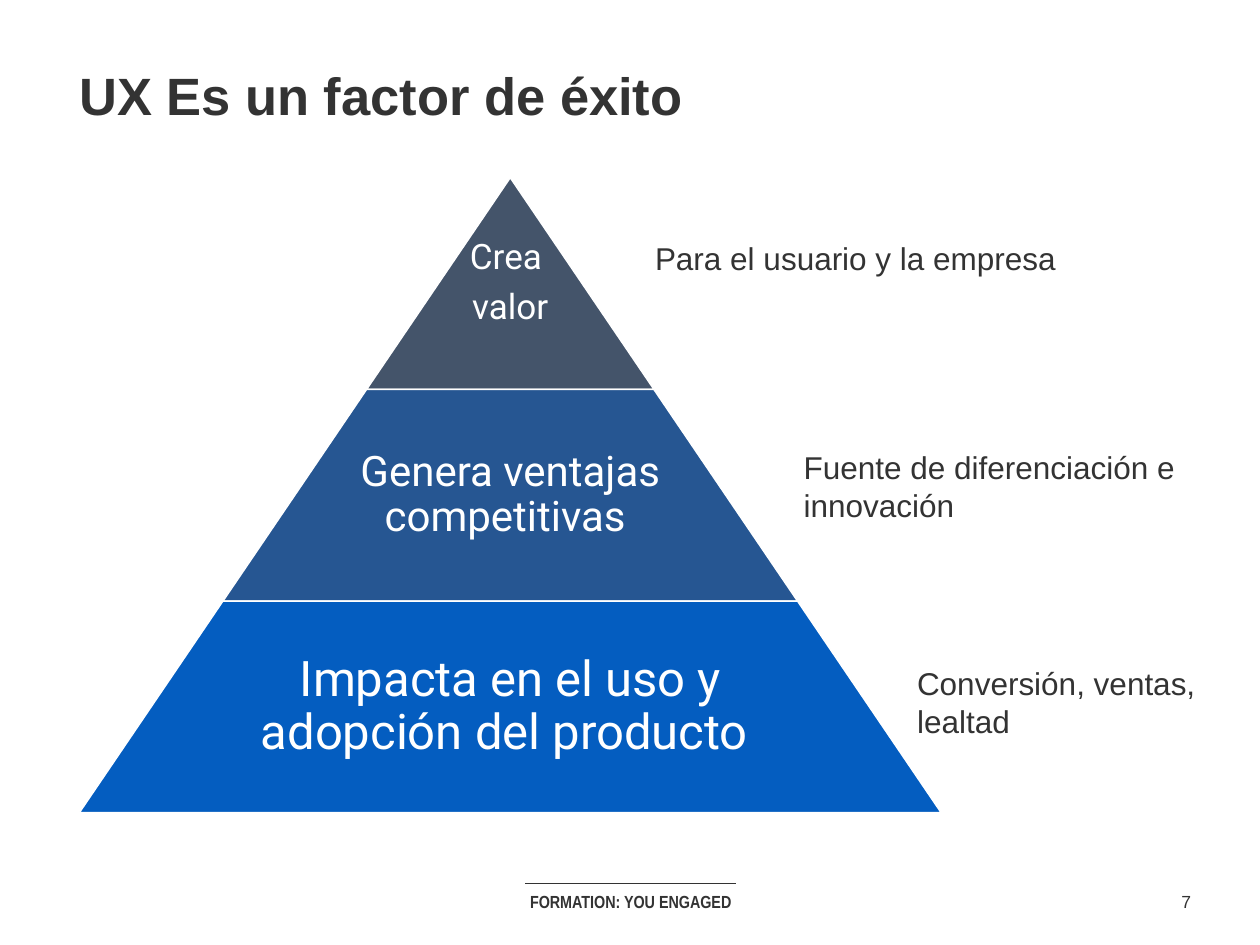
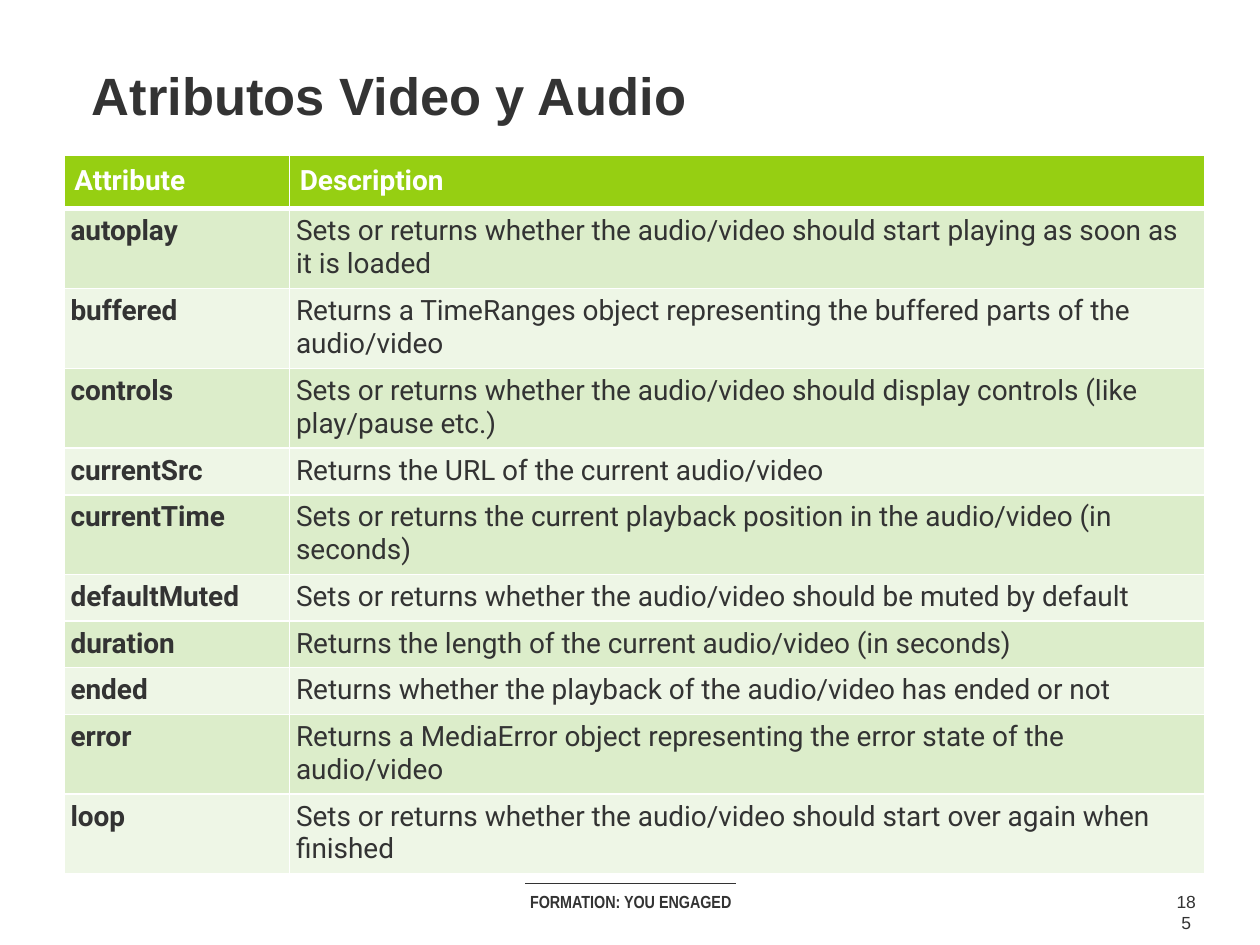
import pptx
import pptx.util
import pptx.dml.color
import pptx.enum.shapes
import pptx.enum.text
import pptx.oxml
import pptx.oxml.ns

Inches = pptx.util.Inches
Pt = pptx.util.Pt
RGBColor = pptx.dml.color.RGBColor
Align = pptx.enum.text.PP_ALIGN
Anchor = pptx.enum.text.MSO_ANCHOR

INK = RGBColor(0x33, 0x33, 0x33)
WHITE = RGBColor(0xFF, 0xFF, 0xFF)
SLATE = RGBColor(0x44, 0x54, 0x6A)
NAVY = RGBColor(0x26, 0x56, 0x92)
BLUE = RGBColor(0x04, 0x5D, 0xC0)
LIME = RGBColor(0x96, 0xCF, 0x12)
BANDS = (RGBColor(0xDC, 0xED, 0xCA), RGBColor(0xEE, 0xF6, 0xE6))

TITLE_ONLY = 5
FOOTER = "FORMATION: YOU ENGAGED"

# label paragraphs, text size, text width share, fill, inset,
# note paragraphs, note box
TIERS = [
    (["Crea ", "valor"], 20, 1, SLATE, 0.03,
     ["Para el usuario y la empresa"], (5.1, 1.85, 3.41, 0.4)),
    (["Genera ventajas competitivas "], 24, 0.65, NAVY, 0.03,
     ["Fuente de diferenciación e innovación"], (6.28, 3.51, 3.31, 0.71)),
    (["Impacta en el uso y adopción del producto "], 28, 0.65, BLUE, 0.04,
     ["Conversión, ventas,", "lealtad"], (7.18, 5.22, 2.46, 0.71)),
]
APEX_X, APEX_Y = 4.05, 1.41
TIER_HEIGHT, TIER_WIDTH = 1.68, 2.28

ONE_LINE, TWO_LINES = 0.37, 0.63
ATTRIBUTES = [
    ("autoplay", "Sets or returns whether the audio/video should start playing "
     "as soon as it is loaded", TWO_LINES),
    ("buffered", "Returns a TimeRanges object representing the buffered parts "
     "of the audio/video", TWO_LINES),
    ("controls", "Sets or returns whether the audio/video should display "
     "controls (like play/pause etc.)", TWO_LINES),
    ("currentSrc", "Returns the URL of the current audio/video", ONE_LINE),
    ("currentTime", "Sets or returns the current playback position in the "
     "audio/video (in seconds)", TWO_LINES),
    ("defaultMuted", "Sets or returns whether the audio/video should be muted "
     "by default", ONE_LINE),
    ("duration", "Returns the length of the current audio/video (in seconds)",
     ONE_LINE),
    ("ended", "Returns whether the playback of the audio/video has ended or not",
     ONE_LINE),
    ("error", "Returns a MediaError object representing the error state of the "
     "audio/video", TWO_LINES),
    ("loop", "Sets or returns whether the audio/video should start over again "
     "when finished", TWO_LINES),
]


def inches(box):
    return [Inches(length) for length in box]


def set_margins(holder, sides, ends):
    holder.margin_left = holder.margin_right = Inches(sides)
    holder.margin_top = holder.margin_bottom = Inches(ends)


class Deck:
    """The presentation, its style and the slide being filled."""

    def __init__(self):
        self.presentation = pptx.Presentation()
        self.presentation.slide_width = Inches(10)
        self.presentation.slide_height = Inches(7.5)
        self.slide = None

    def start_slide(self, title, number, title_box, title_inset):
        layout = self.presentation.slide_layouts[TITLE_ONLY]
        self.slide = self.presentation.slides.add_slide(layout)
        self.footer(number)
        heading = self.slide.shapes.title
        heading.left, heading.top, heading.width, heading.height = inches(title_box)
        frame = heading.text_frame
        frame.auto_size = pptx.enum.text.MSO_AUTO_SIZE.NONE
        frame.vertical_anchor = Anchor.TOP
        set_margins(frame, title_inset, 0.05)
        self.fill_text(frame, [title], 30, bold=True)

    def footer(self, number):
        self.text((3.67, 7.02, 2.67, 0.27), [FOOTER], 10, font="Arial Narrow",
                  bold=True, align=Align.CENTER)
        self.rule((4.17, 7.01), (5.84, 7.01))
        self.text((9.23, 7.02, 0.37, 0.27), [number], 10, align=Align.CENTER)

    def fill_text(self, frame, paragraphs, size, font="Arial", color=INK,
                  bold=False, align=Align.LEFT, line_spacing=None, space_before=0):
        """Fill a text frame, one paragraph for each string."""
        frame.word_wrap = True
        for index, words in enumerate(paragraphs):
            paragraph = frame.add_paragraph() if index else frame.paragraphs[0]
            paragraph.alignment = align
            if line_spacing:
                paragraph.line_spacing = line_spacing
            if index:
                paragraph.space_before = Pt(space_before)
            run = paragraph.add_run()
            run.text = words
            run.font.size = Pt(size)
            run.font.name = font
            run.font.bold = bold
            run.font.color.rgb = color

    def text(self, box, paragraphs, size, insets=(0.1, 0.05), anchor=Anchor.TOP,
             **style):
        frame = self.slide.shapes.add_textbox(*inches(box)).text_frame
        frame.vertical_anchor = anchor
        set_margins(frame, *insets)
        self.fill_text(frame, paragraphs, size, **style)

    def rule(self, start, end):
        line = self.slide.shapes.add_connector(
            pptx.enum.shapes.MSO_CONNECTOR.STRAIGHT, *inches(start + end))
        line.line.color.rgb = INK
        line.line.width = Pt(0.75)
        line._element.spPr.append(pptx.oxml.parse_xml(
            f'<a:effectLst {pptx.oxml.ns.nsdecls("a")}/>'))

    def trapezoid(self, box, slant, fill):
        tier = self.slide.shapes.add_shape(
            pptx.enum.shapes.MSO_SHAPE.TRAPEZOID, *inches(box))
        tier.adjustments[0] = slant
        tier.shadow.inherit = False
        tier.fill.solid()
        tier.fill.fore_color.rgb = fill
        tier.line.color.rgb = WHITE
        tier.line.width = Pt(0.85)

    def table(self, corner, widths, heights):
        table = self.slide.shapes.add_table(
            len(heights), len(widths),
            *inches(corner + (sum(widths), sum(heights)))).table
        for column, width in zip(table.columns, widths):
            column.width = Inches(width)
        for row, height in zip(table.rows, heights):
            row.height = Inches(height)
        return table

    def cell(self, cell, words, fill, color, bold, inset, top=1, bottom=1):
        """Fill one cell; top and bottom are border widths in points."""
        properties = cell._tc.get_or_add_tcPr()
        for side, width in (("L", 1), ("R", 1), ("T", top), ("B", bottom)):
            properties.append(pptx.oxml.parse_xml(
                f'<a:ln{side} {pptx.oxml.ns.nsdecls("a")} w="{Pt(width)}">'
                f'<a:solidFill><a:srgbClr val="{WHITE}"/></a:solidFill>'
                f'</a:ln{side}>'))
        cell.fill.solid()
        cell.fill.fore_color.rgb = fill
        set_margins(cell, inset, inset)
        self.fill_text(cell.text_frame, [words], 16, font="Roboto", color=color,
                       bold=bold)


def add_success_pyramid(deck):
    deck.start_slide("UX Es un factor de éxito", "7", (0.63, 0.45, 8.75, 0.61), 0)
    slant = TIER_WIDTH / 2 / TIER_HEIGHT
    for level, (label, size, share, fill, inset, note, note_box) in enumerate(TIERS):
        width = TIER_WIDTH * (level + 1)
        top = APEX_Y + TIER_HEIGHT * level
        deck.trapezoid((APEX_X - width / 2, top, width, TIER_HEIGHT), slant, fill)
        label_width = width * share
        deck.text((APEX_X - label_width / 2, top, label_width, TIER_HEIGHT),
                  label, size, insets=(inset, inset), anchor=Anchor.MIDDLE,
                  font="Roboto", color=WHITE, align=Align.CENTER,
                  line_spacing=0.9, space_before=7)
        deck.text(note_box, note, 18)


def add_media_attributes(deck):
    deck.start_slide("Atributos Video y Audio", "185", (0.63, 0.45, 6.63, 0.52), 0.1)
    heights = [0.42] + [height for _, _, height in ATTRIBUTES]
    table = deck.table((0.51, 1.23), (1.79, 7.26), heights)
    for column, heading in enumerate(("Attribute", "Description")):
        deck.cell(table.cell(0, column), heading, LIME, WHITE, True, 0.08, bottom=3)
    for row, (attribute, description, _) in enumerate(ATTRIBUTES, start=1):
        band = BANDS[(row - 1) % 2]
        top = 3 if row == 1 else 1
        deck.cell(table.cell(row, 0), attribute, band, INK, True, 0.05, top)
        deck.cell(table.cell(row, 1), description, band, INK, False, 0.05, top)


def main():
    deck = Deck()
    add_success_pyramid(deck)
    add_media_attributes(deck)
    deck.presentation.save("out.pptx")


if __name__ == "__main__":
    main()
